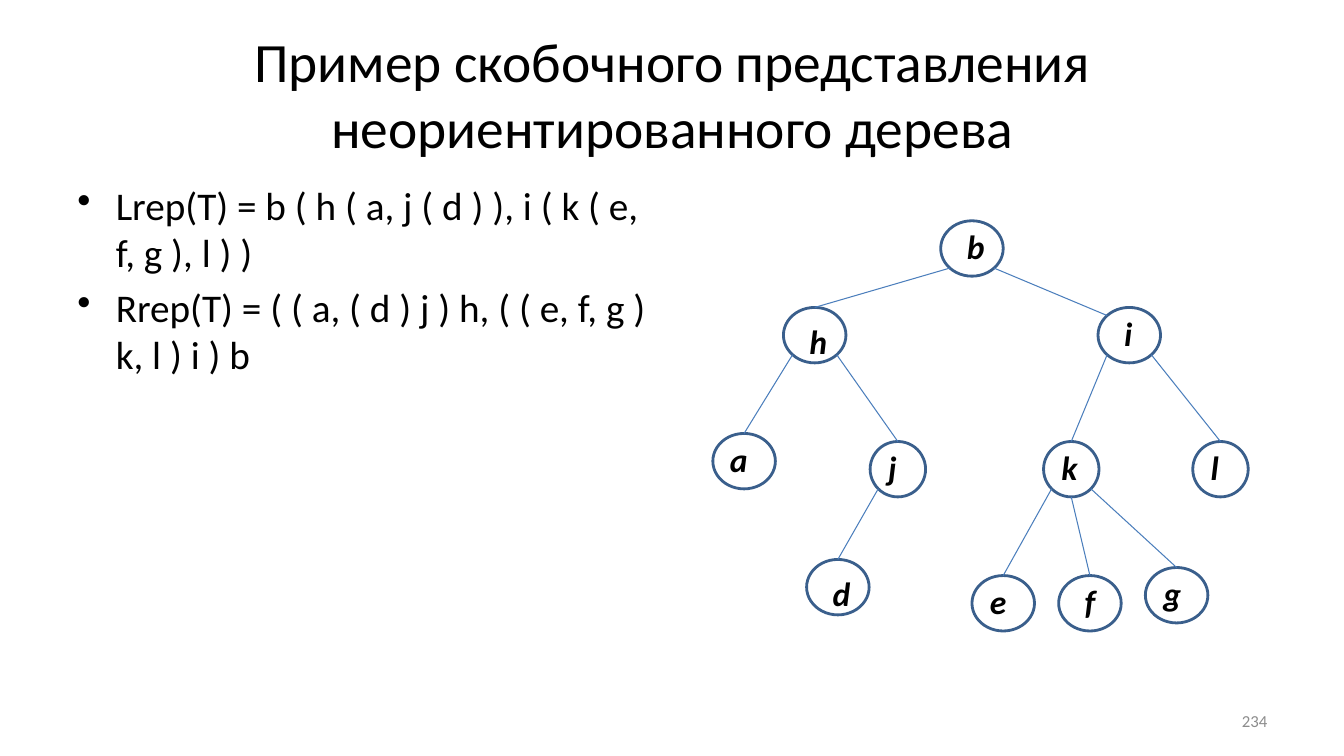
from math import sqrt

from lxml.etree import SubElement
from pptx import Presentation
from pptx.dml.color import RGBColor
from pptx.enum.shapes import MSO_CONNECTOR as Connector, MSO_SHAPE as Shape
from pptx.enum.text import MSO_ANCHOR as Anchor, PP_ALIGN as Align
from pptx.oxml.ns import qn
from pptx.util import Inches, Pt

COLORS = {"text": "000000", "number": "8C8C8C", "node": "3A5F8C", "edge": "4B7EBC"}

NODE_HEIGHT = 0.55
LABEL_HEIGHT = 0.51
NODES = {
    "b": (9.33, 2.19, 0.62),
    "h": (7.77, 3.05, 0.62),
    "i": (10.89, 3.05, 0.62),
    "a": (7.07, 4.3, 0.62),
    "j": (8.63, 4.38, 0.55),
    "k": (10.35, 4.38, 0.55),
    "l": (11.83, 4.38, 0.55),
    "d": (8, 5.55, 0.62),
    "e": (9.64, 5.71, 0.62),
    "f": (10.5, 5.71, 0.62),
    "g": (11.36, 5.63, 0.62),
}
LABELS = {
    "b": (9.49, 2.19, 0.39),
    "h": (7.93, 3.13, 0.38),
    "i": (11.05, 3.05, 0.28),
    "a": (7.14, 4.3, 0.38),
    "j": (8.71, 4.38, 0.29),
    "k": (10.43, 4.38, 0.37),
    "l": (11.91, 4.38, 0.28),
    "d": (8.16, 5.63, 0.38),
    "e": (9.72, 5.71, 0.37),
    "f": (10.66, 5.71, 0.31),
    "g": (11.44, 5.63, 0.35),
}
DIAGONAL = 1 / sqrt(2)
SITES = {
    "top": (0, -1),
    "top left": (-DIAGONAL, -DIAGONAL),
    "bottom left": (-DIAGONAL, DIAGONAL),
    "bottom": (0, 1),
    "bottom right": (DIAGONAL, DIAGONAL),
}
EDGES = [
    ("b", "bottom left", "h", "top"),
    ("b", "bottom right", "i", "top left"),
    ("h", "bottom left", "a", "top"),
    ("h", "bottom right", "j", "top"),
    ("i", "bottom left", "k", "top"),
    ("i", "bottom right", "l", "top"),
    ("j", "bottom left", "d", "top"),
    ("k", "bottom left", "e", "top"),
    ("k", "bottom", "f", "top"),
    ("k", "bottom right", "g", "top"),
]
REPRESENTATIONS = [
    "Lrep(T) = b ( h ( a, j ( d ) ), i ( k ( e, f, g ), l ) )",
    "Rrep(T) = ( ( a, ( d ) j ) h, ( ( e, f, g ) k, l ) i ) b",
]


def color(name):
    return RGBColor.from_string(COLORS[name])


def site_point(node, site):
    left, top, width = NODES[node]
    across, down = SITES[site]
    return left + width / 2 * (1 + across), top + NODE_HEIGHT / 2 * (1 + down)


class TreeSlide:
    font = "Calibri"

    def __init__(self, deck):
        self.page = deck.slides.add_slide(deck.slide_layouts[6])
        self.tree = None

    def text(self, shapes, place, lines, size, align=Align.LEFT, anchor=Anchor.TOP,
             ink="text", strong=False, wrap=True):
        box = shapes.add_textbox(*map(Inches, place))
        frame = box.text_frame
        frame.word_wrap = wrap
        frame.vertical_anchor = anchor
        frame.text = "\n".join(lines)
        for paragraph in frame.paragraphs:
            paragraph.alignment = align
            font = paragraph.font
            font.name, font.size = self.font, Pt(size)
            font.bold = font.italic = strong
            font.color.rgb = color(ink)
        return frame

    def bullets(self, place, lines, size):
        frame = self.text(self.page.shapes, place, lines, size)
        for paragraph in frame.paragraphs:
            paragraph.space_before = Pt(size * 0.2)
            properties = paragraph._p.get_or_add_pPr()
            properties.set("marL", str(Inches(0.38)))
            properties.set("indent", str(Inches(-0.38)))
            bullet = properties.makeelement(qn("a:buChar"), {"char": "•"})
            properties.insert_element_before(bullet, "a:tabLst", "a:defRPr", "a:extLst")

    def start_tree(self):
        self.tree = self.page.shapes.add_group_shape().shapes

    def node(self, left, top, width):
        oval = self.tree.add_shape(
            Shape.OVAL, *map(Inches, (left, top, width, NODE_HEIGHT)))
        oval.shadow.inherit = False
        oval.fill.background()
        oval.line.color.rgb = color("node")
        oval.line.width = Pt(2)

    def edge(self, parent, parent_site, child, child_site):
        ends = site_point(parent, parent_site) + site_point(child, child_site)
        line = self.tree.add_connector(Connector.STRAIGHT, *map(Inches, ends))
        line.line.color.rgb = color("edge")
        line.line.width = Pt(0.75)
        SubElement(line._element.spPr, qn("a:effectLst"))

    def label(self, letter, left, top, width):
        self.text(self.tree, (left, top, width, LABEL_HEIGHT), [letter], 24,
                  strong=True, wrap=False)


def main():
    deck = Presentation()
    deck.slide_width, deck.slide_height = Inches(13.33), Inches(7.5)
    slide = TreeSlide(deck)
    shapes = slide.page.shapes
    slide.text(shapes, (0.67, 0.3, 12, 1.25),
               ["Пример скобочного представления неориентированного дерева"],
               39.6, Align.CENTER, Anchor.MIDDLE)
    slide.bullets((0.67, 1.75, 5.89, 4.95), REPRESENTATIONS, 28)
    slide.start_tree()
    for place in NODES.values():
        slide.node(*place)
    for edge in EDGES:
        slide.edge(*edge)
    for letter, place in LABELS.items():
        slide.label(letter, *place)
    slide.text(shapes, (9.56, 6.95, 3.11, 0.4), ["234"], 12,
               Align.RIGHT, Anchor.MIDDLE, "number")
    deck.save("out.pptx")


if __name__ == "__main__":
    main()
